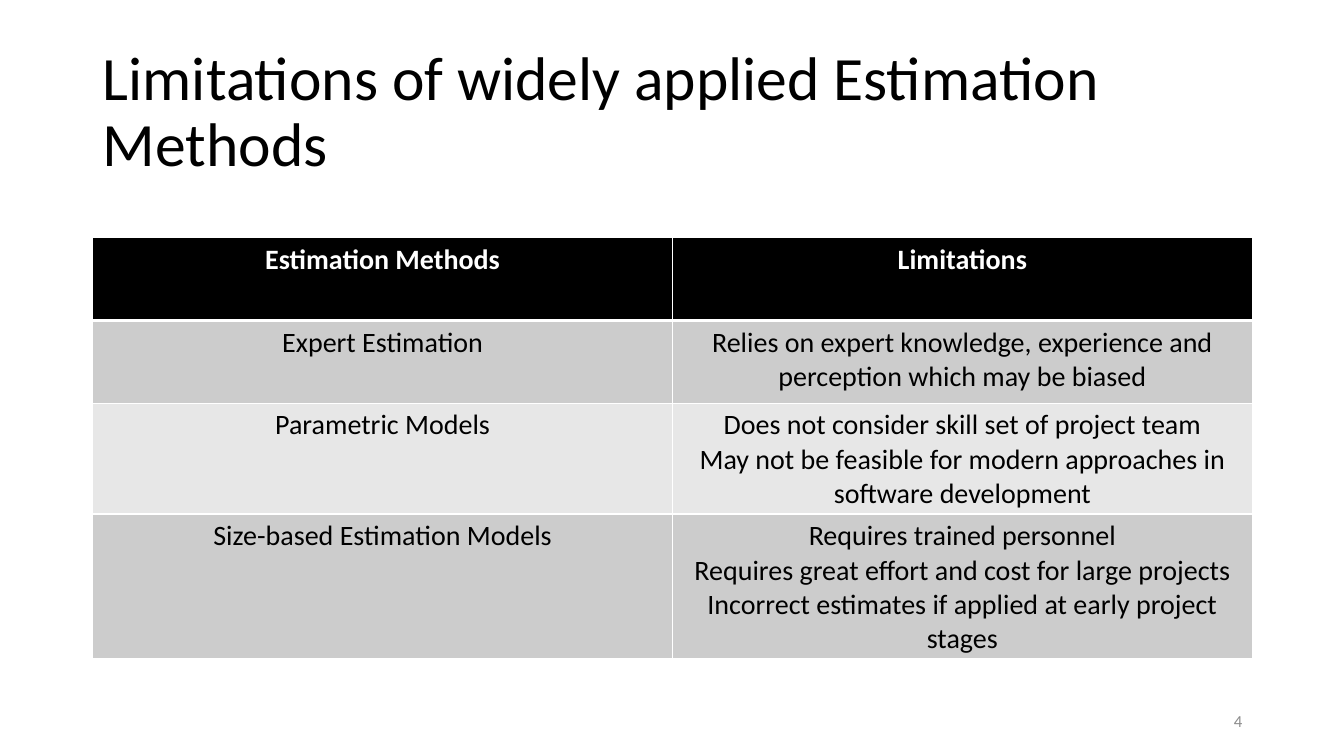
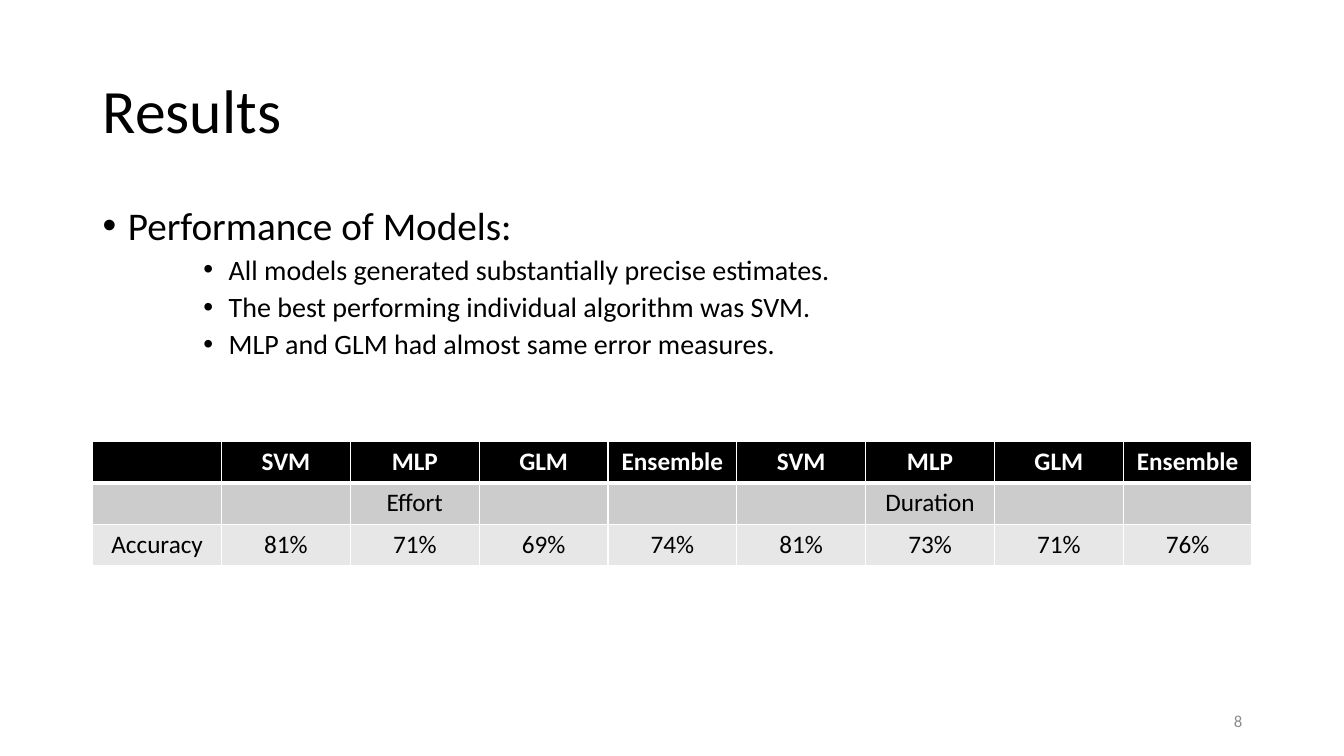
"""Build two slides on software estimation methods and model results."""
from dataclasses import dataclass

from lxml.etree import SubElement
from pptx import Presentation
from pptx.dml.color import RGBColor
from pptx.enum.text import MSO_ANCHOR as Anchor, MSO_AUTO_SIZE as AutoSize, PP_ALIGN as Align
from pptx.oxml.ns import qn
from pptx.util import Inches, Pt


@dataclass(frozen=True)
class Theme:
    """Colours, font, type sizes and shared margins."""
    font: str = "Calibri"
    ink: str = "000000"
    paper: str = "FFFFFF"
    muted: str = "8C8C8C"
    bands: tuple = ("CCCCCC", "E7E7E7")
    title_size: int = 44
    lead_size: int = 28
    text_size: int = 20
    data_size: int = 18
    number_size: int = 12
    left: float = 0.92
    width: float = 11.5


THEME = Theme()

METHOD_ROWS = [
    ["Estimation Methods", "Limitations"],
    ["Expert Estimation",
     "Relies on expert knowledge, experience and perception which may be biased"],
    ["Parametric Models",
     "Does not consider skill set of project team\n"
     "May not be feasible for modern approaches in software development"],
    ["Size-based Estimation Models",
     "Requires trained personnel\n"
     "Requires great effort and cost for large projects\n"
     "Incorrect estimates if applied at early project stages"],
]
MODELS = ["SVM", "MLP", "GLM", "Ensemble"]
ACCURACY_ROWS = [
    ["", *MODELS, *MODELS],
    ["", "", "Effort", "", "", "", "Duration", "", ""],
    ["Accuracy", "81%", "71%", "69%", "74%", "81%", "73%", "71%", "76%"],
]
FINDINGS = [
    "All models generated substantially precise estimates.",
    "The best performing individual algorithm was SVM.",
    "MLP and GLM had almost same error measures.",
]


def write_text(para, text, size=THEME.text_size, color=THEME.ink, bold=False,
               align=Align.LEFT, line_spacing=1.0, space_before=0):
    """Fill a paragraph with formatted text; newlines become line breaks."""
    para.text = text.replace("\n", "\v")
    para.alignment = align
    para.line_spacing = line_spacing
    para.space_before = Pt(space_before)
    for span in para.runs:
        span.font.name = THEME.font
        span.font.size = Pt(size)
        span.font.bold = bold
        span.font.color.rgb = RGBColor.from_string(color)


def add_bullet(para, indent, level=0):
    """Give a paragraph a round bullet with a hanging indent."""
    para.level = level
    props = para._p.get_or_add_pPr()
    props.set("marL", str(Inches(indent)))
    props.set("indent", str(Inches(-0.25)))
    SubElement(props, qn("a:buFont")).set("typeface", "Arial")
    SubElement(props, qn("a:buChar")).set("char", "•")


def add_text_box(page, left, top, width, height, anchor=Anchor.TOP):
    """Add a wrapping text box and return its text frame."""
    box = page.shapes.add_textbox(Inches(left), Inches(top), Inches(width), Inches(height))
    frame = box.text_frame
    frame.word_wrap = True
    frame.vertical_anchor = anchor
    return frame


def add_page(deck, title, number):
    """Add a title-only slide with its title and page number."""
    page = deck.slides.add_slide(deck.slide_layouts[5])
    box = page.shapes.title
    box.left, box.top = Inches(THEME.left), Inches(0.4)
    box.width, box.height = Inches(THEME.width), Inches(1.45)
    frame = box.text_frame
    frame.auto_size = AutoSize.NONE
    frame.vertical_anchor = Anchor.MIDDLE
    write_text(frame.paragraphs[0], title, size=THEME.title_size, line_spacing=0.9)
    footer = add_text_box(page, 9.42, 6.95, 3, 0.4, Anchor.MIDDLE)
    write_text(footer.paragraphs[0], str(number), size=THEME.number_size,
               color=THEME.muted, align=Align.RIGHT)
    return page


def set_borders(cell, top, bottom):
    """Draw white borders round a cell, with widths in points."""
    props = cell._tc.get_or_add_tcPr()
    for side, width in (("L", 1), ("R", 1), ("T", top), ("B", bottom)):
        line = SubElement(props, qn(f"a:ln{side}"), w=str(Pt(width)))
        fill = SubElement(line, qn("a:solidFill"))
        SubElement(fill, qn("a:srgbClr"), val=THEME.paper)


def add_grid(page, rows, top, row_height, size):
    """Add a table with a black header and alternating grey rows."""
    columns = len(rows[0])
    table = page.shapes.add_table(
        len(rows), columns, Inches(THEME.left), Inches(top),
        Inches(THEME.width), Inches(row_height * len(rows))).table
    table.horz_banding = False
    for column in table.columns:
        column.width = Inches(THEME.width / columns)
    for index, values in enumerate(rows):
        table.rows[index].height = Inches(row_height)
        header = index == 0
        fill = THEME.ink if header else THEME.bands[(index - 1) % 2]
        for cell, value in zip(table.rows[index].cells, values):
            set_borders(cell, top=3 if index == 1 else 1, bottom=3 if header else 1)
            cell.fill.solid()
            cell.fill.fore_color.rgb = RGBColor.from_string(fill)
            write_text(cell.text_frame.paragraphs[0], value, size=size, bold=header,
                       color=THEME.paper if header else THEME.ink, align=Align.CENTER)


def add_findings(page, lead, findings):
    """Add a lead bullet followed by indented findings."""
    frame = add_text_box(page, THEME.left, 2, THEME.width, 2.2)
    para = frame.paragraphs[0]
    write_text(para, lead, size=THEME.lead_size, line_spacing=0.9, space_before=10)
    add_bullet(para, 0.25)
    for finding in findings:
        para = frame.add_paragraph()
        write_text(para, finding, line_spacing=0.9, space_before=5)
        add_bullet(para, 1.25, level=2)


def main():
    """Build and save the deck."""
    deck = Presentation()
    deck.slide_width, deck.slide_height = Inches(13.33), Inches(7.5)
    methods = add_page(deck, "Limitations of widely applied Estimation Methods", 4)
    add_grid(methods, METHOD_ROWS, top=2.36, row_height=0.82, size=THEME.text_size)
    results = add_page(deck, "Results", 8)
    add_findings(results, "Performance of Models:", FINDINGS)
    add_grid(results, ACCURACY_ROWS, top=4.38, row_height=0.41, size=THEME.data_size)
    deck.save("out.pptx")


if __name__ == "__main__":
    main()
